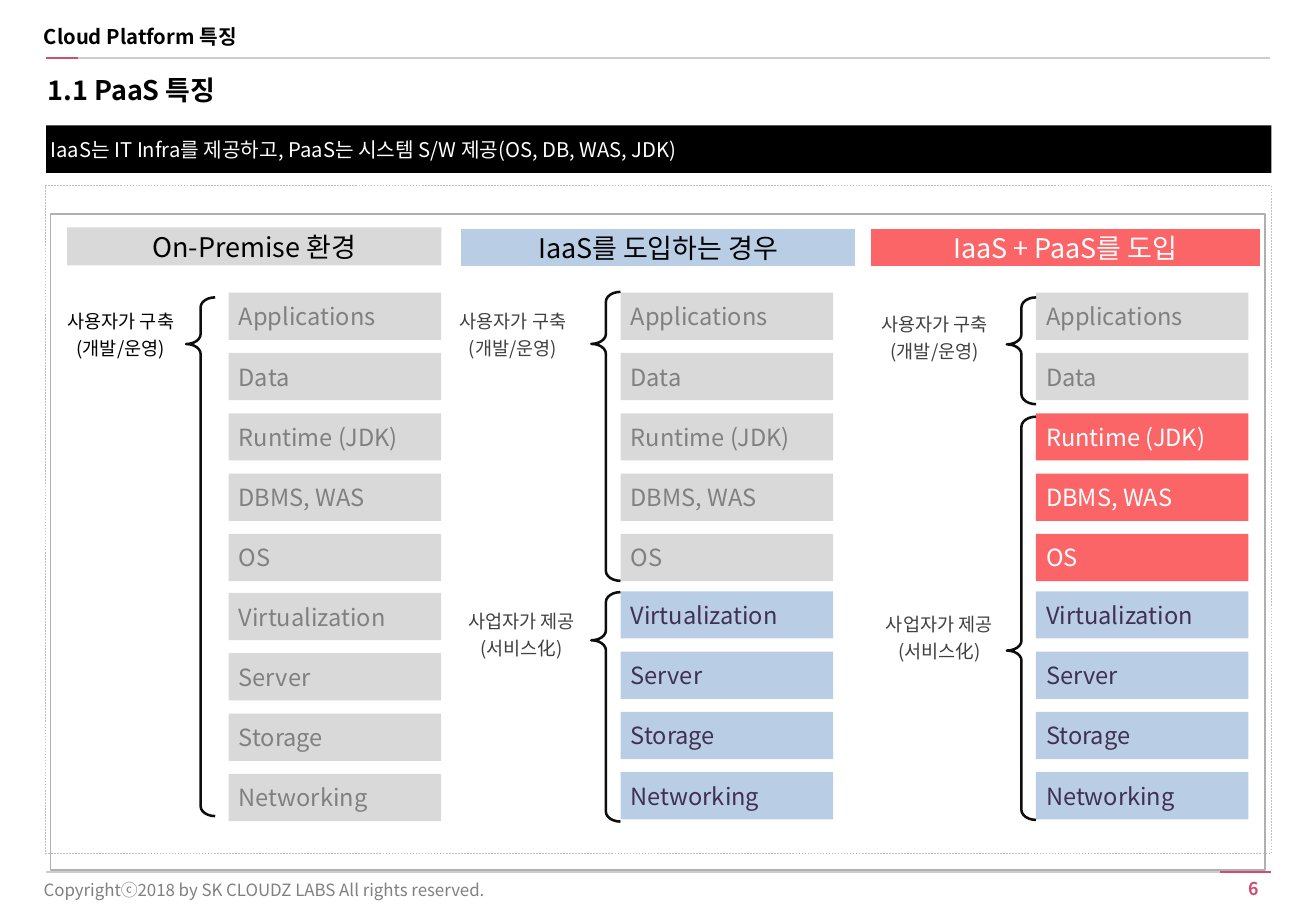
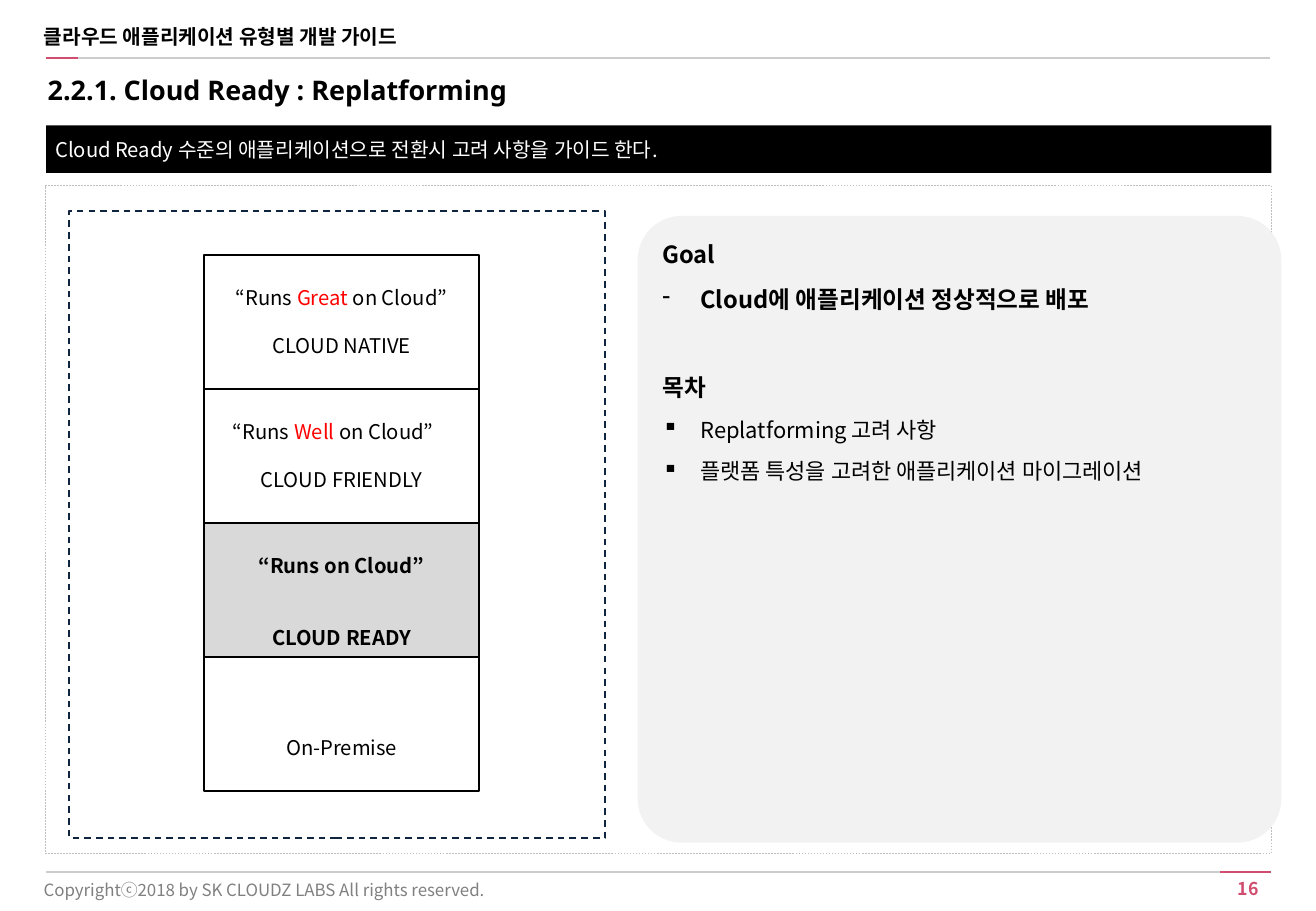
from dataclasses import dataclass
from lxml import etree
from pptx import Presentation
from pptx.dml.color import RGBColor
from pptx.enum.dml import MSO_LINE
from pptx.enum.shapes import MSO_CONNECTOR, MSO_SHAPE
from pptx.enum.text import MSO_ANCHOR, PP_ALIGN
from pptx.oxml.ns import qn
from pptx.util import Pt

RECT, ROUNDED, BRACE = MSO_SHAPE.RECTANGLE, MSO_SHAPE.ROUNDED_RECTANGLE, MSO_SHAPE.LEFT_BRACE
STRAIGHT, DASH = MSO_CONNECTOR.STRAIGHT, MSO_LINE.DASH
TOP, MIDDLE = MSO_ANCHOR.TOP, MSO_ANCHOR.MIDDLE
LEFT, CENTER, RIGHT = PP_ALIGN.LEFT, PP_ALIGN.CENTER, PP_ALIGN.RIGHT


@dataclass(frozen=True)
class Theme:
    font: str = "Noto Sans CJK KR"
    latin: str = "Noto Sans"
    page_font: str = "Noto Sans CJK JP"
    black: str = "000000"
    white: str = "FFFFFF"
    gray: str = "D9D9D9"
    pale: str = "F2F2F2"
    muted: str = "808080"
    label: str = "404040"
    blue: str = "B9CDE5"
    violet: str = "403152"
    coral: str = "FC6567"
    red: str = "FF0000"
    pink: str = "D04D6F"
    rule: str = "CCCCCC"
    dotted: str = "BFBFBF"
    frame: str = "B0B0B0"
    navy: str = "0F243E"
    ink: str = "0D0D0D"
    title: float = 16
    goal: float = 14
    item: float = 13
    body: float = 12
    note: float = 11
    page: float = 10.5
    footer: float = 10


T = Theme()

# Stack rows: platform layers first, then infrastructure layers
LAYERS = ["Applications", "Data", "Runtime (JDK)", "DBMS, WAS", "OS"]
INFRA = ["Virtualization", "Server", "Storage", "Networking"]
ROW_TOP, ROW_STEP, ROW_W, ROW_H = 173.5, 35.75, 126, 28
BRACE_W, BRACE_CURVE = 17.3, 0.34
LABEL_W, LABEL_H = 84, 38
USER = "사용자가 구축\n(개발/운영)"
VENDOR = "사업자가 제공\n(서비스化)"

USER_CELL, INFRA_CELL, PLATFORM_CELL = (T.gray, T.muted), (T.blue, T.violet), (T.coral, T.white)

# header: left, top, width, height; braces: top, height, tip; labels: text, left, top, colour
COLUMNS = [
    {"name": "On-Premise 환경", "header": (39.8, 134.8, 221.8, 22.5),
     "fill": T.gray, "color": T.black, "border": None,
     "left": 135.5, "infra_top": 351.5, "cells": [USER_CELL] * 9,
     "brace_left": 110.3, "braces": [(176.3, 307.5, 0.09)],
     "labels": [(USER, 29.6, 177.8, T.black)]},
    {"name": "IaaS를 도입하는 경우", "header": (272.3, 135, 235.5, 23.5),
     "fill": T.blue, "color": T.black, "border": T.white,
     "left": 367.8, "infra_top": 350.5, "cells": [USER_CELL] * 5 + [INFRA_CELL] * 4,
     "brace_left": 350.5, "braces": [(173, 171.3, 0.18), (351, 136, 0.21)],
     "labels": [(USER, 262.1, 177.8, T.label), (VENDOR, 267.1, 355.5, T.label)]},
    {"name": "IaaS + PaaS를 도입", "header": (515.5, 135, 232, 23.5),
     "fill": T.coral, "color": T.white, "border": T.white,
     "left": 614, "infra_top": 350.5,
     "cells": [USER_CELL] * 2 + [PLATFORM_CELL] * 3 + [INFRA_CELL] * 4,
     "brace_left": 596.8, "braces": [(176.3, 63.3, 0.44), (247, 239, 0.58)],
     "labels": [(USER, 512, 179.3, T.label), (VENDOR, 514.8, 357.2, T.label)]},
]

# Maturity boxes: lines of runs, blank lines above, gap between lines
BLANK_LINE = 14.3
BOX_LEFT, BOX_TOP, BOX_W, BOX_STEP = 121, 151, 163, 79.5
STAGES = [
    {"quote": [("“Runs ", T.black), ("Great", T.red), (" on Cloud”", T.black)],
     "name": "CLOUD NATIVE", "fill": T.white},
    {"quote": [("“Runs ", T.black), ("Well", T.red), (" on Cloud”", T.black)],
     "name": "CLOUD FRIENDLY", "fill": T.white,
     "quote_format": {"alignment": LEFT, "indent": (10, 0)}},
    {"quote": [("“Runs on Cloud”", T.black)], "name": "CLOUD READY",
     "fill": T.gray, "bold": True, "gap": 2},
    {"name": "On-Premise", "fill": T.white, "above": 3},
]


def set_attrs(obj, values):
    for name, value in values.items():
        setattr(obj, name, value)


def rgb(color):
    return RGBColor.from_string(color)


# Text
def style_font(r, size, color, bold, latin):
    set_attrs(r.font, {"size": Pt(size), "bold": bold, "name": latin})
    r.font.color.rgb = rgb(color)
    etree.SubElement(r.font._element, qn("a:ea")).set("typeface", T.font)


def set_indent(p, left, first, bullet):
    pPr = p._p.get_or_add_pPr()
    pPr.set("marL", str(Pt(left)))
    pPr.set("indent", str(Pt(first)))
    if bullet:
        etree.SubElement(pPr, qn("a:buChar")).set("char", bullet)


def write_paragraph(p, runs, size, color=T.black, bold=False, latin=T.font,
                    indent=None, bullet=None, **layout):
    set_attrs(p, layout)
    if indent:
        set_indent(p, *indent, bullet)
    for text, run_color in [(runs, color)] if isinstance(runs, str) else runs:
        for i, line in enumerate(text.split("\n")):
            if i:
                p.add_line_break()
            r = p.add_run()
            r.text = line
            style_font(r, size, run_color, bold, latin)


def write(s, paragraphs, anchor=TOP, margins=(7.2, 3.6, 7.2, 3.6), wrap=True):
    tf = s.text_frame
    set_attrs(tf, {"word_wrap": wrap, "vertical_anchor": anchor})
    sides = ("margin_left", "margin_top", "margin_right", "margin_bottom")
    set_attrs(tf, dict(zip(sides, map(Pt, margins))))
    for i, paragraph in enumerate(paragraphs):
        write_paragraph(tf.paragraphs[0] if i == 0 else tf.add_paragraph(), **paragraph)


def add_text(sp, box, paragraph, **frame):
    write(sp.add_textbox(*map(Pt, box)), [paragraph], **frame)


# Shapes and lines
def add_box(sp, box, fill=None, line=None, width=1, dash=None, kind=RECT, adjust=()):
    s = sp.add_shape(kind, *map(Pt, box))
    s.shadow.inherit = False
    if fill:
        s.fill.solid()
        s.fill.fore_color.rgb = rgb(fill)
    else:
        s.fill.background()
    if line:
        s.line.color.rgb = rgb(line)
        set_attrs(s.line, {"width": Pt(width), "dash_style": dash})
    else:
        s.line.fill.background()
    for i, value in enumerate(adjust):
        s.adjustments[i] = value
    return s


def add_rule(sp, left, right, y, color):
    c = sp.add_connector(STRAIGHT, Pt(left), Pt(y), Pt(right), Pt(y))
    c.line.color.rgb = rgb(color)
    c.line.width = Pt(1.5)
    etree.SubElement(c._element.spPr, qn("a:effectLst"))


# Frame, rules, titles, band and footer shared by the slides
def add_page(prs, section, title, message, number, latin=T.font, message_inset=2.7):
    sp = prs.slides.add_slide(prs.slide_layouts[6]).shapes
    add_box(sp, (27, 110, 726.5, 396), line=T.dotted, width=0.25, dash=DASH)
    for y, left, right in ((34.5, 27.3, 46), (517, 723, 753.5)):
        add_rule(sp, 27.3, 753, y, T.rule)
        add_rule(sp, left, right, y, T.pink)
    add_text(sp, (705, 517, 41, 20),
             {"runs": number, "size": T.page, "color": T.pink, "bold": True,
              "latin": T.page_font, "alignment": RIGHT}, margins=(7.2, 3.6, 0, 3.6))
    band = add_box(sp, (27.3, 74.3, 726.3, 28.3), fill=T.black)
    write(band, [{"runs": message, "size": T.body, "color": T.white, "alignment": LEFT}],
          anchor=MIDDLE, margins=(message_inset, 0, 0, 0))
    add_text(sp, (28.3, 37.5, 725, 31),
             {"runs": title, "size": T.title, "bold": True, "latin": latin},
             anchor=MIDDLE, margins=(0, 3.6, 0, 3.6))
    add_text(sp, (26, 14.4, 430, 22),
             {"runs": section, "size": T.body, "bold": True, "latin": latin},
             margins=(0, 0, 0, 0))
    add_text(sp, (18.8, 515, 410, 24.5),
             {"runs": "Copyrightⓒ2018 by SK CLOUDZ LABS All rights reserved.",
              "size": T.footer, "color": T.muted}, anchor=MIDDLE)
    return sp


# One service model: header, rows, braces and labels
def add_column(sp, col):
    header = add_box(sp, col["header"], col["fill"], col["border"], 1.5)
    write(header, [{"runs": col["name"], "size": T.title, "color": col["color"],
                    "alignment": CENTER}], anchor=MIDDLE)
    tops = [ROW_TOP + i * ROW_STEP for i in range(len(LAYERS))]
    tops += [col["infra_top"] + i * ROW_STEP for i in range(len(INFRA))]
    for name, top, (fill, color) in zip(LAYERS + INFRA, tops, col["cells"]):
        cell = add_box(sp, (col["left"], top, ROW_W, ROW_H), fill)
        write(cell, [{"runs": name, "size": T.goal, "color": color, "alignment": LEFT}],
              anchor=MIDDLE, margins=(6, 2.9, 2.9, 2.9), wrap=False)
    for top, height, tip in col["braces"]:
        add_box(sp, (col["brace_left"], top, BRACE_W, height), line=T.ink, width=1.5,
                kind=BRACE, adjust=(BRACE_CURVE, tip))
    for text, left, top, color in col["labels"]:
        add_text(sp, (left, top, LABEL_W, LABEL_H),
                 {"runs": text, "size": T.note, "color": color, "alignment": CENTER,
                  "line_spacing": 1.2}, wrap=False)


# One maturity stage
def add_stage(sp, top, stage):
    base = {"size": T.body, "bold": stage.get("bold", False), "alignment": CENTER}
    paragraphs = []
    name = {**base, "runs": stage["name"]}
    if "quote" in stage:
        paragraphs.append({**base, "runs": stage["quote"], **stage.get("quote_format", {})})
        name["space_before"] = Pt(BLANK_LINE * stage.get("gap", 1))
    box = add_box(sp, (BOX_LEFT, top, BOX_W, BOX_STEP), stage["fill"], T.black)
    write(box, paragraphs + [name],
          margins=(7.2, 3.6 + BLANK_LINE * stage.get("above", 1), 7.2, 0))


def add_goal_panel(sp):
    base = {"size": T.goal, "bold": True, "alignment": LEFT,
            "line_spacing": 1.2, "space_after": Pt(6)}
    item = {**base, "indent": (22.5, -22.5)}
    topic = {**item, "size": T.item, "bold": False, "bullet": "▪"}
    panel = add_box(sp, (378, 128, 381.5, 371.5), T.pale, kind=ROUNDED, adjust=(0.07,))
    write(panel, [
        {**base, "runs": "Goal"},
        {**item, "runs": "Cloud에 애플리케이션 정상적으로 배포", "bullet": "-"},
        {**base, "runs": "목차", "space_before": Pt(26)},
        {**topic, "runs": "Replatforming 고려 사항"},
        {**topic, "runs": "플랫폼 특성을 고려한 애플리케이션 마이그레이션"},
    ])


def main():
    prs = Presentation()
    set_attrs(prs, {"slide_width": Pt(780), "slide_height": Pt(540)})

    # Service model comparison
    sp = add_page(prs, "Cloud Platform 특징", "1.1 PaaS 특징",
                  "IaaS는 IT Infra를 제공하고, PaaS는 시스템 S/W 제공(OS, DB, WAS, JDK)", "6")
    add_box(sp, (30, 126.8, 720, 389), line=T.frame)
    for col in COLUMNS:
        add_column(sp, col)

    # Replatforming guide
    sp = add_page(prs, "클라우드 애플리케이션 유형별 개발 가이드",
                  "2.2.1. Cloud Ready : Replatforming",
                  "Cloud Ready 수준의 애플리케이션으로 전환시 고려 사항을 가이드 한다.",
                  "16", latin=T.latin, message_inset=5.4)
    add_goal_panel(sp)
    for i, stage in reversed(list(enumerate(STAGES))):
        add_stage(sp, BOX_TOP + i * BOX_STEP, stage)
    add_box(sp, (41, 125.3, 317.5, 371.5), line=T.navy, dash=DASH)

    prs.save("out.pptx")


if __name__ == "__main__":
    main()
